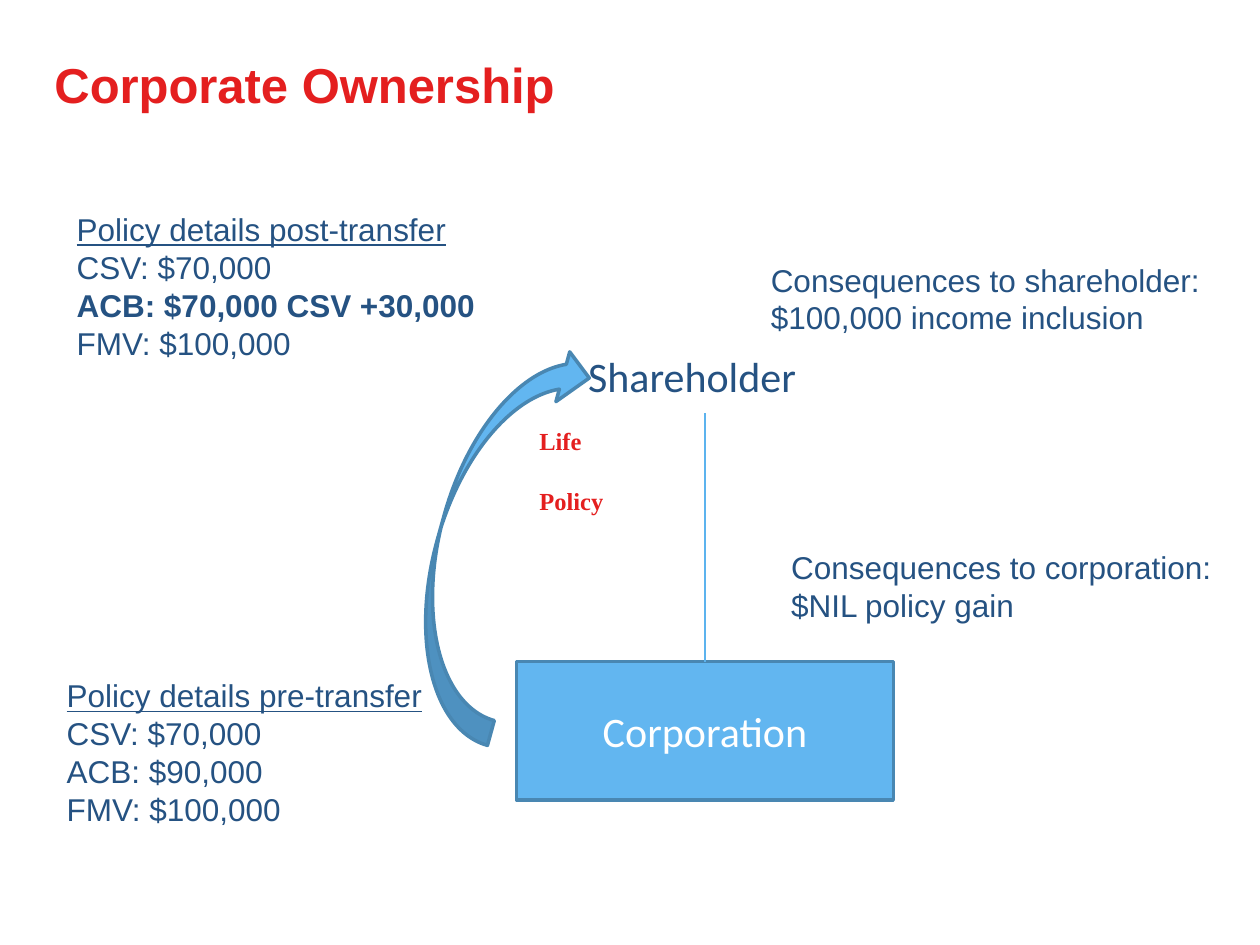
from pptx import Presentation
from pptx.dml.color import RGBColor
from pptx.enum.shapes import MSO_CONNECTOR as Connector, MSO_SHAPE as Shape
from pptx.enum.text import MSO_ANCHOR as Anchor, PP_ALIGN as Align
from pptx.oxml.ns import qn
from pptx.util import Pt
from lxml.etree import SubElement

THEME = {
    "red": "E41F1F", "navy": "255282", "white": "FFFFFF",
    "fill": "62B6F0", "outline": "4987B2", "link": "5CB3EE",
    "body": "Arial", "diagram": "Calibri", "label": "Times New Roman",
    "title_size": 28, "node_size": 24, "body_size": 18, "label_size": 14,
}

TITLE = ("Corporate Ownership", (24, 24, 660, 48))
OWNER = ("Shareholder", (329, 196.5, 147.5, 36))
COMPANY = ("Corporation", (295.2, 378, 215.3, 79.2))
ASSET = (["Life", "Policy"], (302.4, 240.5, 55.4, 39.6))
TRANSFER_ARROW = (164.9, 276.5, 232.6, 59)
TRANSFER_ANGLE = 285.5
LINK_TOP = 236.2

NOTES = [
    {"lines": ["Policy details pre-transfer", "CSV: $70,000", "ACB: $90,000", "FMV: $100,000"],
     "box": (31, 383, 221, 94.3), "underlined": 0},
    {"lines": ["Consequences to corporation:", "$NIL policy gain"],
     "box": (445, 309.6, 283.7, 51.1)},
    {"lines": ["Policy details post-transfer", "CSV: $70,000", "ACB: $70,000 CSV +30,000", "FMV: $100,000"],
     "box": (36.7, 116.6, 266.4, 94.3), "underlined": 0, "strong": 2},
    {"lines": ["Consequences to shareholder:", "$100,000 income inclusion"],
     "box": (433.4, 145.4, 283.7, 51.1)},
]


def color(name):
    return RGBColor.from_string(THEME[name])


def points(box):
    return [Pt(length) for length in box]


def write(shape, lines, font="body", size="body_size", ink="navy", bold=False,
          underlined=None, strong=None, align=Align.LEFT, anchor=Anchor.TOP,
          gap=0, insets=(7.2, 3.6)):
    frame = shape.text_frame
    frame.word_wrap = True
    frame.vertical_anchor = anchor
    frame.margin_left = frame.margin_right = Pt(insets[0])
    frame.margin_top = frame.margin_bottom = Pt(insets[1])
    for index, line in enumerate(lines):
        paragraph = frame.add_paragraph() if index else frame.paragraphs[0]
        paragraph.alignment = align
        paragraph.space_before = Pt(gap if index else 0)
        run = paragraph.add_run()
        run.text = line
        run.font.name = THEME[font]
        run.font.size = Pt(THEME[size])
        run.font.color.rgb = color(ink)
        run.font.bold = bold or index == strong
        run.font.underline = index == underlined


def add_text(slide, lines, box, **style):
    write(slide.shapes.add_textbox(*points(box)), lines, **style)


def add_block(slide, kind, box):
    shape = slide.shapes.add_shape(kind, *points(box))
    shape.shadow.inherit = False
    shape.fill.solid()
    shape.fill.fore_color.rgb = color("fill")
    shape.line.color.rgb = color("outline")
    shape.line.width = Pt(2)
    return shape


def add_link(slide, x, top, bottom):
    link = slide.shapes.add_connector(Connector.STRAIGHT, *points((x, top, x, bottom)))
    link.line.color.rgb = color("link")
    link.line.width = Pt(0.75)
    SubElement(link._element.spPr, qn("a:effectLst"))


def main():
    presentation = Presentation()
    presentation.slide_width, presentation.slide_height = Pt(720), Pt(540)
    slide = presentation.slides.add_slide(presentation.slide_layouts[6])

    title, title_box = TITLE
    add_text(slide, [title], title_box, size="title_size", ink="red", bold=True,
             anchor=Anchor.MIDDLE)

    company, company_box = COMPANY
    left, top, width, height = company_box
    write(add_block(slide, Shape.RECTANGLE, company_box), [company], font="diagram",
          size="node_size", ink="white", align=Align.CENTER, anchor=Anchor.MIDDLE)
    add_link(slide, left + width / 2, LINK_TOP, top)

    owner, owner_box = OWNER
    add_text(slide, [owner], owner_box, font="diagram", size="node_size")
    asset, asset_box = ASSET
    add_text(slide, asset, asset_box, font="label", size="label_size", ink="red",
             bold=True, gap=17.5, insets=(5.8, 2.9))

    arrow = add_block(slide, Shape.CURVED_DOWN_ARROW, TRANSFER_ARROW)
    arrow.rotation = TRANSFER_ANGLE

    for note in NOTES:
        add_text(slide, **note)

    presentation.save("out.pptx")


if __name__ == "__main__":
    main()
